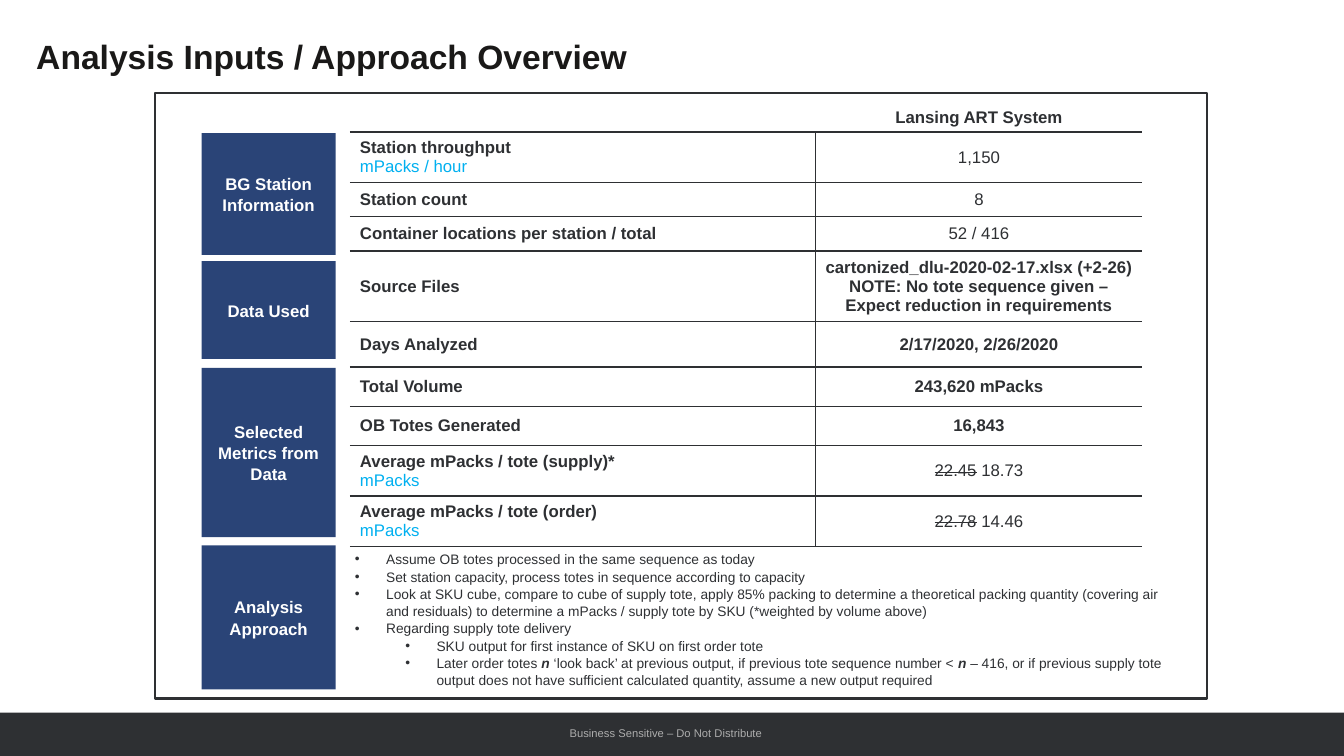
"""Build the Analysis Inputs / Approach Overview slide."""
from lxml.etree import SubElement
from pptx import Presentation
from pptx.dml.color import RGBColor
from pptx.enum.shapes import MSO_SHAPE
from pptx.enum.text import MSO_ANCHOR, PP_ALIGN
from pptx.oxml.ns import qn
from pptx.util import Inches, Pt

COLORS = {"ink": "2E3033", "title": "1A1918", "navy": "2A4477", "cyan": "00B0F0",
          "white": "FFFFFF", "footer": "ADADAD"}
NO_GRID_STYLE = "{2D5ABB26-0587-4C30-8999-92F81FD0307C}"


def add_run(paragraph, text, size, color, bold=False):
    run = paragraph.add_run()
    run.text = text
    run.font.name = "Arial"
    run.font.size = Pt(size)
    run.font.bold = bold
    run.font.color.rgb = RGBColor.from_string(COLORS[color])
    return run


def add_border(cell, side, width):
    line = SubElement(cell._tc.get_or_add_tcPr(), qn(f"a:{side}"), w=str(Pt(width)))
    fill = SubElement(line, qn("a:solidFill"))
    SubElement(fill, qn("a:srgbClr"), val=COLORS["ink"])


presentation = Presentation()
presentation.slide_width = Inches(13.33)
presentation.slide_height = Inches(7.5)
slide = presentation.slides.add_slide(presentation.slide_layouts[6])
shapes = slide.shapes

footer = shapes.add_shape(MSO_SHAPE.RECTANGLE, Inches(0), Inches(7.07), Inches(13.33), Inches(0.43))
footer.shadow.inherit = False
footer.fill.solid()
footer.fill.fore_color.rgb = RGBColor.from_string(COLORS["ink"])
footer.line.fill.background()

text_boxes = [
    (5.6, 7.16, 2.02, 0.22, 0.05, "Business Sensitive – Do Not Distribute", 8, "footer", False),
    (0.36, 0.36, 12.63, 0.89, 0, "Analysis Inputs / Approach Overview", 24, "title", True),
]
for left, top, width, height, inset, text, size, color, bold in text_boxes:
    box = shapes.add_textbox(Inches(left), Inches(top), Inches(width), Inches(height))
    frame = box.text_frame
    frame.word_wrap = bold
    frame.margin_left = frame.margin_right = Inches(inset)
    frame.margin_top = frame.margin_bottom = Inches(inset)
    add_run(frame.paragraphs[0], text, size, color, bold)

border = shapes.add_shape(MSO_SHAPE.RECTANGLE, Inches(1.54), Inches(0.92), Inches(10.43), Inches(6.01))
border.shadow.inherit = False
border.fill.background()
border.line.color.rgb = RGBColor.from_string(COLORS["ink"])
border.line.width = Pt(1.5)

sections = [
    ("BG Station Information", 1.32, 1.21),
    ("Data Used", 2.59, 0.97),
    ("Selected Metrics from Data", 3.65, 1.68),
    ("Analysis Approach", 5.41, 1.43),
]
for name, top, height in sections:
    label = shapes.add_shape(MSO_SHAPE.RECTANGLE, Inches(2), Inches(top), Inches(1.33), Inches(height))
    label.shadow.inherit = False
    label.fill.solid()
    label.fill.fore_color.rgb = RGBColor.from_string(COLORS["navy"])
    label.line.fill.background()
    frame = label.text_frame
    frame.word_wrap = True
    frame.vertical_anchor = MSO_ANCHOR.MIDDLE
    frame.margin_left = frame.margin_right = Inches(0.05)
    frame.margin_top = frame.margin_bottom = Inches(0.05)
    paragraph = frame.paragraphs[0]
    paragraph.alignment = PP_ALIGN.CENTER
    paragraph.line_spacing = 1.05
    add_run(paragraph, name, 12, "white", True)

# Each row: height, label, unit, struck-out value, value lines, bold value
rows = [
    (0.28, "", "", "", ["Lansing ART System"], True),
    (0.48, "Station throughput", "mPacks / hour", "", ["1,150"], False),
    (0.34, "Station count", "", "", ["8"], False),
    (0.34, "Container locations per station / total", "", "", ["52 / 416"], False),
    (0.66, "Source Files", "", "", ["cartonized_dlu-2020-02-17.xlsx (+2-26)",
     "NOTE: No tote sequence given – Expect reduction in requirements"], True),
    (0.45, "Days Analyzed", "", "", ["2/17/2020, 2/26/2020"], True),
    (0.39, "Total Volume", "", "", ["243,620 mPacks"], True),
    (0.39, "OB Totes Generated", "", "", ["16,843"], True),
    (0.48, "Average mPacks / tote (supply)*", "mPacks", "22.45", [" 18.73"], False),
    (0.48, "Average mPacks / tote (order)", "mPacks", "22.78", [" 14.46"], False),
]
table_height = sum(row[0] for row in rows)
table = shapes.add_table(len(rows), 2, Inches(3.47), Inches(1.01), Inches(7.86), Inches(table_height)).table
table.first_row = table.horz_banding = False
table._tbl.tblPr.find(qn("a:tableStyleId")).text = NO_GRID_STYLE
table.columns[0].width = Inches(4.62)
table.columns[1].width = Inches(3.24)

for index, (height, name, unit, struck, values, bold) in enumerate(rows):
    table.rows[index].height = Inches(height)
    name_cell, value_cell = table.cell(index, 0), table.cell(index, 1)

    paragraph = name_cell.text_frame.paragraphs[0]
    if name:
        add_run(paragraph, name, 12, "ink", True)
    else:
        SubElement(paragraph._p, qn("a:endParaRPr"), sz="1200")
    if unit:
        add_run(name_cell.text_frame.add_paragraph(), unit, 12, "cyan")

    frame = value_cell.text_frame
    for number, value in enumerate(values):
        paragraph = frame.add_paragraph() if number else frame.paragraphs[0]
        paragraph.alignment = PP_ALIGN.CENTER
        if struck:
            add_run(paragraph, struck, 12, "ink").font._element.set("strike", "sngStrike")
        add_run(paragraph, value, 12, "ink", bold)

    value_cell.margin_left = value_cell.margin_right = Inches(0.08)
    if index:
        add_border(name_cell, "lnR", 0.75)
        add_border(value_cell, "lnL", 0.75)
    for cell in (name_cell, value_cell):
        cell.vertical_anchor = MSO_ANCHOR.MIDDLE if index else MSO_ANCHOR.BOTTOM
        if index:
            add_border(cell, "lnT", 1.5 if index == 1 else 1)
        add_border(cell, "lnB", 1 if index else 1.5)
        cell.fill.background()

approach = [
    (0, ["Assume OB totes processed in the same sequence as today"]),
    (0, ["Set station capacity, process totes in sequence according to capacity"]),
    (0, ["Look at SKU cube, compare to cube of supply tote, apply 85% packing to determine a "
         "theoretical packing quantity (covering air and residuals) to determine a mPacks / "
         "supply tote by SKU (*weighted by volume above)"]),
    (0, ["Regarding supply tote delivery"]),
    (1, ["SKU output for first instance of SKU on first order tote"]),
    (1, ["Later order totes ", "n", " ‘look back’ at previous output, if previous tote sequence number < ",
         "n ", "– 416, or if previous supply tote output does not have sufficient calculated "
         "quantity, assume a new output required"]),
]
approach_box = shapes.add_textbox(Inches(3.47), Inches(5.41), Inches(8.13), Inches(1.5))
frame = approach_box.text_frame
frame.word_wrap = True
frame.margin_left = frame.margin_right = Inches(0.05)
frame.margin_top = frame.margin_bottom = Inches(0.05)
for index, (level, texts) in enumerate(approach):
    paragraph = frame.add_paragraph() if index else frame.paragraphs[0]
    paragraph.level = level
    paragraph.line_spacing = 1.05
    properties = paragraph._p.get_or_add_pPr()
    properties.set("marL", str(Inches(0.31 + 0.5 * level)))
    properties.set("indent", str(Inches(-0.31)))
    SubElement(properties, qn("a:buFont"), typeface="Arial")
    SubElement(properties, qn("a:buChar"), char="•")
    for text in texts:
        is_variable = text.strip() == "n"
        add_run(paragraph, text, 9.8, "ink", is_variable).font.italic = is_variable

presentation.save("out.pptx")
